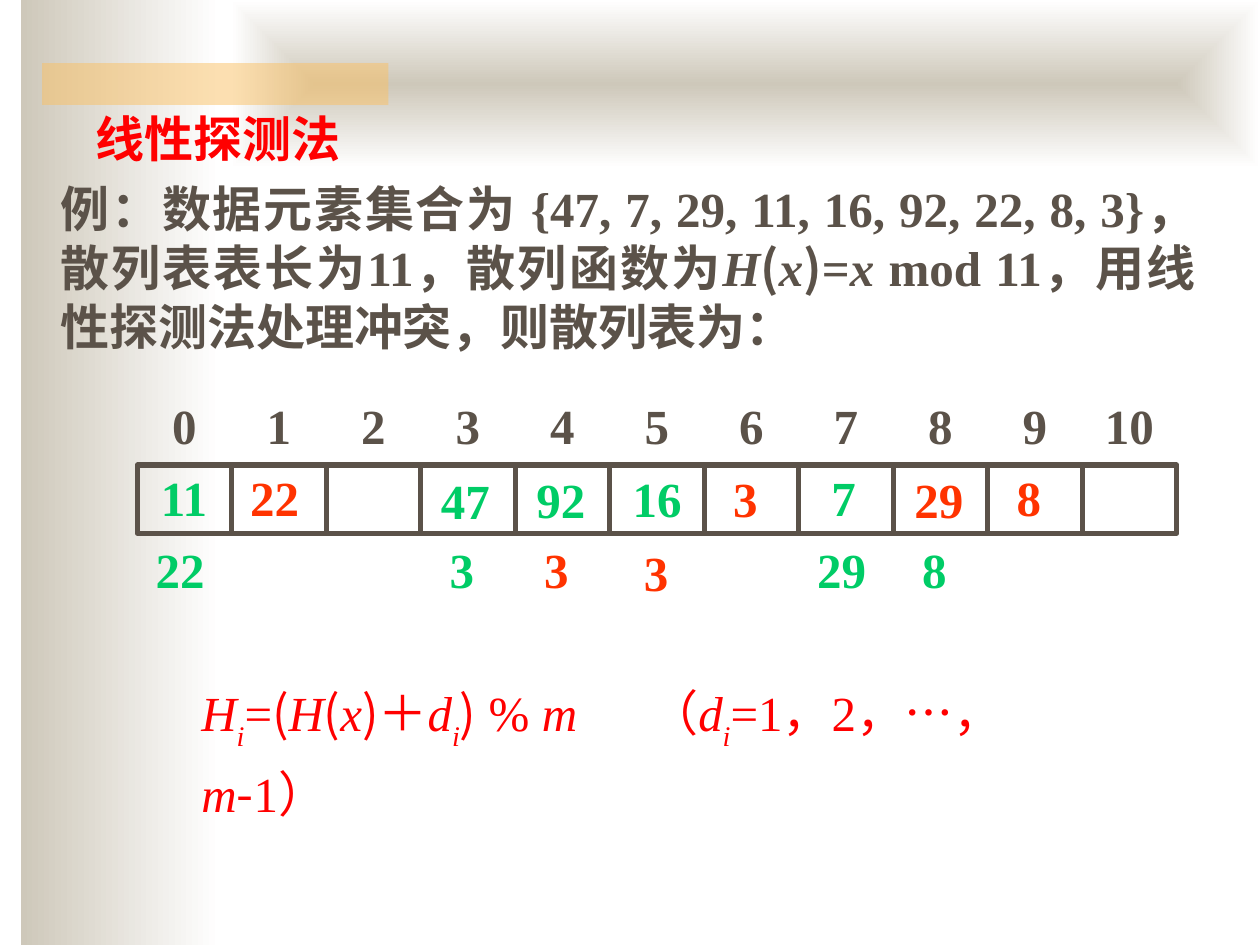
from dataclasses import dataclass

from lxml import etree
from pptx import Presentation
from pptx.dml import color as colors
from pptx.enum import shapes, text
from pptx.oxml import ns
from pptx.util import Pt


@dataclass(frozen=True)
class Theme:
    size: float = 28
    latin: str = "Times New Roman"
    cjk: str = "Noto Sans CJK SC"
    ink: str = "5B5249"
    title: str = "FF0000"
    home: str = "00CC66"
    moved: str = "FF3300"
    sand: str = "CEC8BA"
    paper: str = "FFFFFF"
    accent: str = "FAC164"


THEME = Theme()
I, C, S = "italic", "cjk", "italic sub"

TITLE = [("线性探测法", "")]
PROBLEM = [
    ("例：数据元素集合为 {47, 7, 29, 11, 16, 92, 22, 8, 3}，散列表表长为11，散列函", ""),
    ("数为", C), ("H", I), ("(", C), ("x", I), (")", C), ("=", ""), ("x ", I),
    ("mod 11", ""), ("，用线性探测法处理冲突，则散列表为：", C),
]
FORMULA = [
    ("H", I), ("i", S), ("=", ""), ("(", C), ("H", I), ("(", C), ("x", I),
    (")＋", C), ("d", I), ("i", S), (")", C), (" % ", ""), ("m\t", I),
    ("（", C), ("d", I), ("i", S), ("=1", ""), ("，", C), ("2", ""), ("，", C),
    ("…", ""), ("，", C), ("m", I), ("-", C), ("1", ""), ("）", C),
]
KEYS = [
    ("47", 252, 269, THEME.home), ("7", 475, 267, THEME.home),
    ("29", 467, 308, THEME.home), ("11", 92, 267, THEME.home),
    ("16", 361.5, 268, THEME.home), ("92", 306.5, 268.5, THEME.home),
    ("29", 522.5, 268.5, THEME.moved), ("22", 89, 308, THEME.home),
    ("22", 143, 267, THEME.moved), ("8", 527, 308, THEME.home),
    ("8", 581, 267, THEME.moved), ("3", 257, 308, THEME.home),
    ("3", 311, 308, THEME.moved), ("3", 368, 310, THEME.moved),
    ("3", 419, 268, THEME.moved),
]
SLOTS = 11
TABLE_LEFT, TABLE_TOP, SLOT_WIDTH, SLOT_HEIGHT = 78.5, 265.75, 54, 39
DIGIT_WIDTH, LINE_HEIGHT, INSET = 18, 34, 7.2


def rgb(value):
    return colors.RGBColor.from_string(value)


def write(slide, runs, *, at, color, bold=True, inset=(INSET, 3.6), align=None,
          spacing=None, tabs=(), tab_align="l"):
    box = slide.shapes.add_textbox(*map(Pt, at))
    frame = box.text_frame
    frame.word_wrap = True
    frame.auto_size = text.MSO_AUTO_SIZE.SHAPE_TO_FIT_TEXT
    frame.margin_left = frame.margin_right = Pt(inset[0])
    frame.margin_top = frame.margin_bottom = Pt(inset[1])
    paragraph = frame.paragraphs[0]
    if tabs:
        stops = etree.SubElement(paragraph._p.get_or_add_pPr(), ns.qn("a:tabLst"))
        for stop in tabs:
            etree.SubElement(stops, ns.qn("a:tab"), pos=str(Pt(stop)), algn=tab_align)
    paragraph.alignment = align
    paragraph.line_spacing = spacing
    for words, style in runs:
        run = paragraph.add_run()
        run.text = words
        font = run.font
        font.size, font.bold, font.italic = Pt(THEME.size), bold, "italic" in style
        font.color.rgb = rgb(color)
        font.name = THEME.cjk if "cjk" in style else THEME.latin
        properties = run._r.get_or_add_rPr()
        etree.SubElement(properties, ns.qn("a:ea"), typeface=THEME.cjk)
        if "sub" in style:
            properties.set("baseline", "-30000")


def add_rectangle(slide, *at):
    shape = slide.shapes.add_shape(shapes.MSO_SHAPE.RECTANGLE, *map(Pt, at))
    shape.shadow.inherit = False
    shape.line.fill.background()
    return shape


def add_gradient(slide, *at, centred=False):
    panel = add_rectangle(slide, *at)
    panel.fill.gradient()
    panel.fill.gradient_angle = 0
    for stop, shade in zip(panel.fill.gradient_stops, (THEME.sand, THEME.paper)):
        stop.color.rgb = rgb(shade)
    if centred:
        gradient = panel._element.spPr.find(ns.qn("a:gradFill"))
        linear = gradient.find(ns.qn("a:lin"))
        route = etree.Element(ns.qn("a:path"), path="shape")
        etree.SubElement(route, ns.qn("a:fillToRect"),
                         {side: "50000" for side in "ltrb"})
        gradient.replace(linear, route)


def add_backdrop(slide):
    add_gradient(slide, 12, 0, 114, 540)
    add_gradient(slide, 132, 0, 588, 96, centred=True)
    ribbon = add_rectangle(slide, 24, 36, 198, 24)
    ribbon.fill.solid()
    ribbon.fill.fore_color.rgb = rgb(THEME.accent)
    tint = ribbon._element.spPr.find(ns.qn("a:solidFill"))[0]
    etree.SubElement(tint, ns.qn("a:alpha"), val="50000")


def add_hash_table(slide):
    for slot in range(SLOTS):
        cell = add_rectangle(slide, TABLE_LEFT + slot * SLOT_WIDTH, TABLE_TOP,
                             SLOT_WIDTH, SLOT_HEIGHT)
        cell.fill.background()
        cell.line.color.rgb = rgb(THEME.ink)
        cell.line.width = Pt(3)
    centres = [(slot + 0.5) * SLOT_WIDTH - INSET for slot in range(SLOTS)]
    indexes = "".join(f"\t{slot}" for slot in range(SLOTS))
    write(slide, [(indexes, "")], at=(TABLE_LEFT, 226, SLOTS * SLOT_WIDTH, LINE_HEIGHT),
          color=THEME.ink, inset=(INSET, 0), tabs=centres, tab_align="ctr")
    for key, left, top, color in KEYS:
        write(slide, [(key, "")], at=(left, top, len(key) * DIGIT_WIDTH, LINE_HEIGHT),
              color=color, inset=(0, 0))


def main():
    deck = Presentation()
    deck.slide_width, deck.slide_height = Pt(720), Pt(540)
    slide = deck.slides.add_slide(deck.slide_layouts[6])
    add_backdrop(slide)
    write(slide, PROBLEM, at=(27.5, 98.5, 662.5, 108), color=THEME.ink,
          align=text.PP_ALIGN.JUSTIFY)
    write(slide, TITLE, at=(47.5, 58.5, 420, 41), color=THEME.title)
    add_hash_table(slide)
    write(slide, FORMULA, at=(108, 378.5, 537, 48), color=THEME.title, bold=False,
          spacing=1.2, tabs=[256])
    deck.save("out.pptx")


if __name__ == "__main__":
    main()
